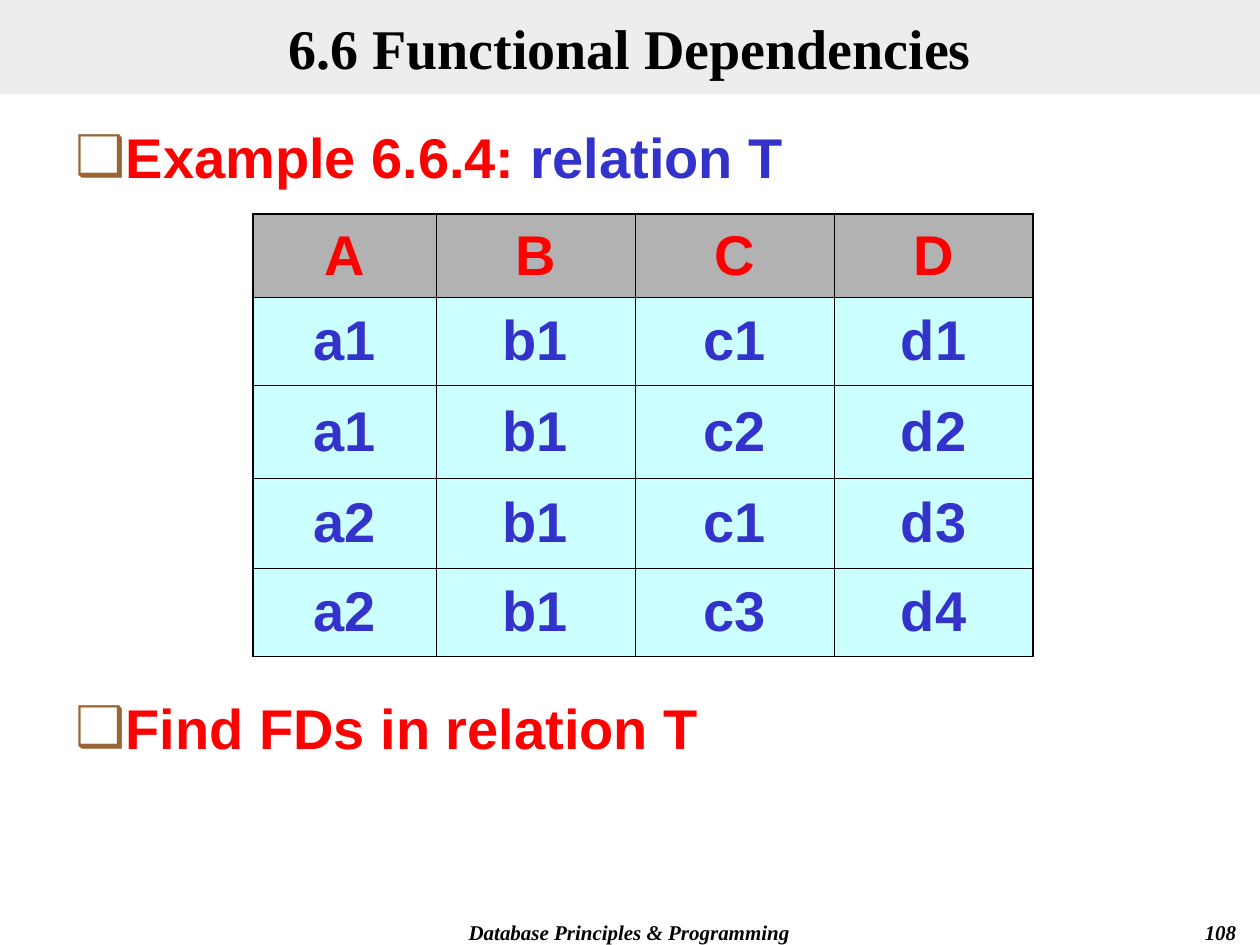
"""Build the slide on functional dependencies in relation T."""
from lxml.etree import SubElement
from pptx import Presentation
from pptx.dml.color import RGBColor
from pptx.enum.text import MSO_ANCHOR as Anchor, MSO_AUTO_SIZE as AutoSize, PP_ALIGN as Align
from pptx.oxml.ns import qn
from pptx.util import Inches, Pt

BLACK = RGBColor(0x00, 0x00, 0x00)
RED = RGBColor(0xFF, 0x00, 0x00)
BLUE = RGBColor(0x33, 0x33, 0xCC)
BROWN = RGBColor(0x99, 0x66, 0x33)
BAND_GRAY = RGBColor(0xDD, 0xDD, 0xDD)
HEADER_GRAY = RGBColor(0xB2, 0xB2, 0xB2)
PALE_CYAN = RGBColor(0xCC, 0xFF, 0xFF)
SERIF, SANS = "Times New Roman", "Arial"

TITLE = "6.6 Functional Dependencies"
POINTS = [
    (0, [("Example 6.6.4: ", RED), ("relation T", BLUE)]),
    (288, [("Find FDs in relation T", RED)]),
]
RELATION = [
    ("A", "B", "C", "D"),
    ("a1", "b1", "c1", "d1"),
    ("a1", "b1", "c2", "d2"),
    ("a2", "b1", "c1", "d3"),
    ("a2", "b1", "c3", "d4"),
]
COLUMN_WIDTHS = [1.45, 1.58, 1.58, 1.58]
ROW_HEIGHTS = [0.66, 0.7, 0.74, 0.71, 0.7]
FOOTERS = [
    ("Database Principles & Programming", 2.83, 4.33, Align.CENTER),
    ("108", 7.83, 2.08, Align.RIGHT),
]
OUTER_LINE, INNER_LINE = Pt(1.08), Pt(0.45)


def place(shape, left, top, width, height):
    shape.left, shape.top = Inches(left), Inches(top)
    shape.width, shape.height = Inches(width), Inches(height)


def style(font, name, size, color, italic=False):
    font.name, font.size = name, Pt(size)
    font.bold, font.italic = True, italic
    font.color.rgb = color


def add_title(slide):
    title = slide.shapes.title
    place(title, 0, 0, 10, 0.75)
    title.fill.solid()
    title.fill.fore_color.rgb = BAND_GRAY
    band_color = title.fill._xPr.find(qn("a:solidFill"))[0]
    SubElement(band_color, qn("a:alpha"), val="50000")
    frame = title.text_frame
    frame.text = TITLE
    frame.auto_size = AutoSize.NONE
    frame.vertical_anchor = Anchor.MIDDLE
    heading = frame.paragraphs[0]
    heading.alignment = Align.CENTER
    style(heading.runs[0].font, SERIF, 32, BLACK)


def add_bullet(paragraph):
    indent = Inches(0.38)
    properties = paragraph._p.get_or_add_pPr()
    properties.set("marL", str(indent))
    properties.set("indent", str(-indent))
    bullet_color = SubElement(properties, qn("a:buClr"))
    SubElement(bullet_color, qn("a:srgbClr"), val=str(BROWN))
    SubElement(properties, qn("a:buFont"), typeface=SANS)
    SubElement(properties, qn("a:buChar"), char="❑")


def add_points(slide):
    body = slide.placeholders[1]
    place(body, 0.5, 0.92, 9, 6.17)
    frame = body.text_frame
    frame.auto_size = AutoSize.NONE
    for index, (gap, parts) in enumerate(POINTS):
        point = frame.add_paragraph() if index else frame.paragraphs[0]
        add_bullet(point)
        point.space_before = Pt(gap)
        for words, color in parts:
            run = point.add_run()
            run.text = words
            style(run.font, SANS, 32, color)


def add_borders(cell, row, column):
    outer_sides = {
        "a:lnL": column == 0,
        "a:lnR": column == len(COLUMN_WIDTHS) - 1,
        "a:lnT": row == 0,
        "a:lnB": row == len(ROW_HEIGHTS) - 1,
    }
    properties = cell._tc.get_or_add_tcPr()
    for side, is_outer in outer_sides.items():
        width = OUTER_LINE if is_outer else INNER_LINE
        border = SubElement(properties, qn(side), w=str(width))
        border_fill = SubElement(border, qn("a:solidFill"))
        SubElement(border_fill, qn("a:srgbClr"), val=str(BLACK))


def add_relation(slide):
    frame = slide.shapes.add_table(
        len(RELATION), len(COLUMN_WIDTHS), Inches(2.01), Inches(1.7),
        Inches(sum(COLUMN_WIDTHS)), Inches(sum(ROW_HEIGHTS)))
    table = frame.table
    table.horz_banding = False
    for column, width in zip(table.columns, COLUMN_WIDTHS):
        column.width = Inches(width)
    for row, height in zip(table.rows, ROW_HEIGHTS):
        row.height = Inches(height)
    for r, values in enumerate(RELATION):
        fill, color = (PALE_CYAN, BLUE) if r else (HEADER_GRAY, RED)
        for c, value in enumerate(values):
            cell = table.cell(r, c)
            add_borders(cell, r, c)
            cell.fill.solid()
            cell.fill.fore_color.rgb = fill
            cell.vertical_anchor = Anchor.MIDDLE
            cell.text_frame.text = value
            entry = cell.text_frame.paragraphs[0]
            entry.alignment = Align.CENTER
            style(entry.runs[0].font, SANS, 32, color)


def add_footers(slide):
    for words, left, width, alignment in FOOTERS:
        box = slide.shapes.add_textbox(
            Inches(left), Inches(7.25), Inches(width), Inches(0.25))
        frame = box.text_frame
        frame.word_wrap = True
        frame.text = words
        footer = frame.paragraphs[0]
        footer.alignment = alignment
        style(footer.runs[0].font, SERIF, 12, BLACK, italic=True)


def main():
    deck = Presentation()
    deck.slide_width, deck.slide_height = Inches(10), Inches(7.5)
    slide = deck.slides.add_slide(deck.slide_layouts[1])
    add_footers(slide)
    add_title(slide)
    add_points(slide)
    add_relation(slide)
    deck.save("out.pptx")


if __name__ == "__main__":
    main()
